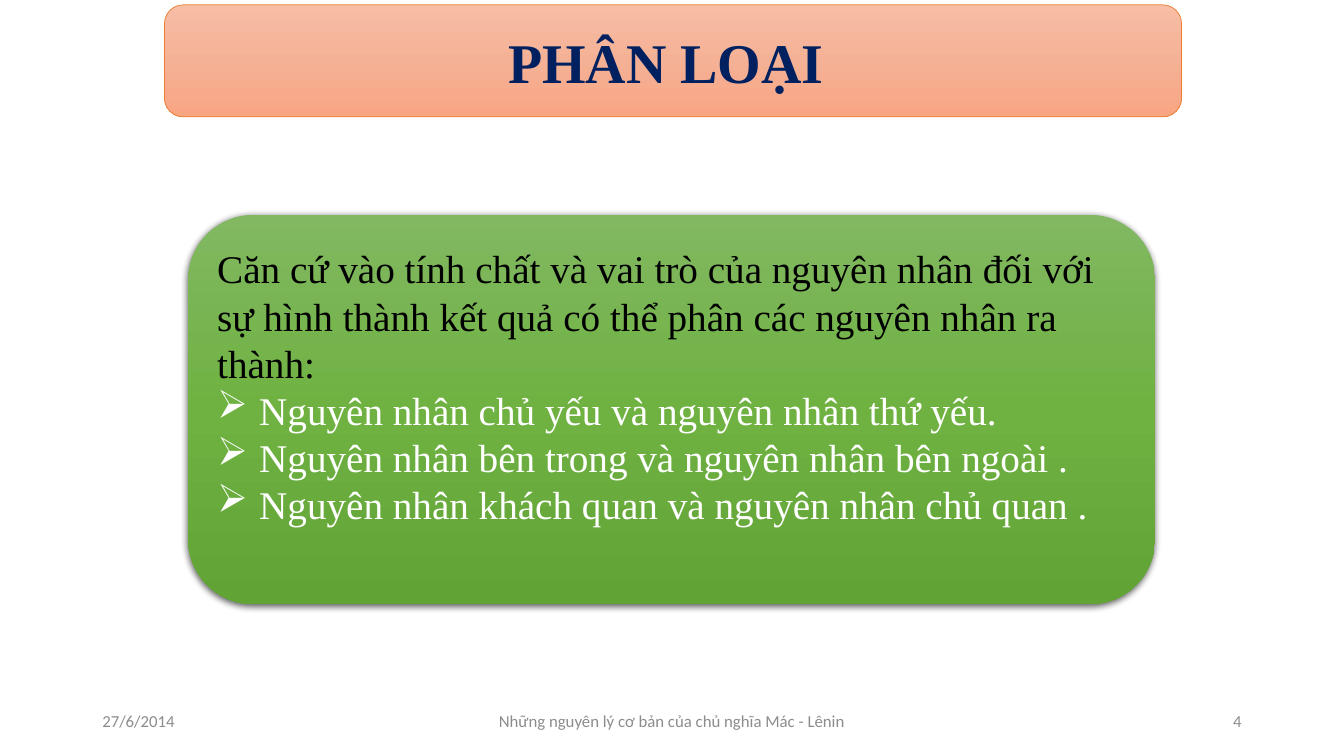
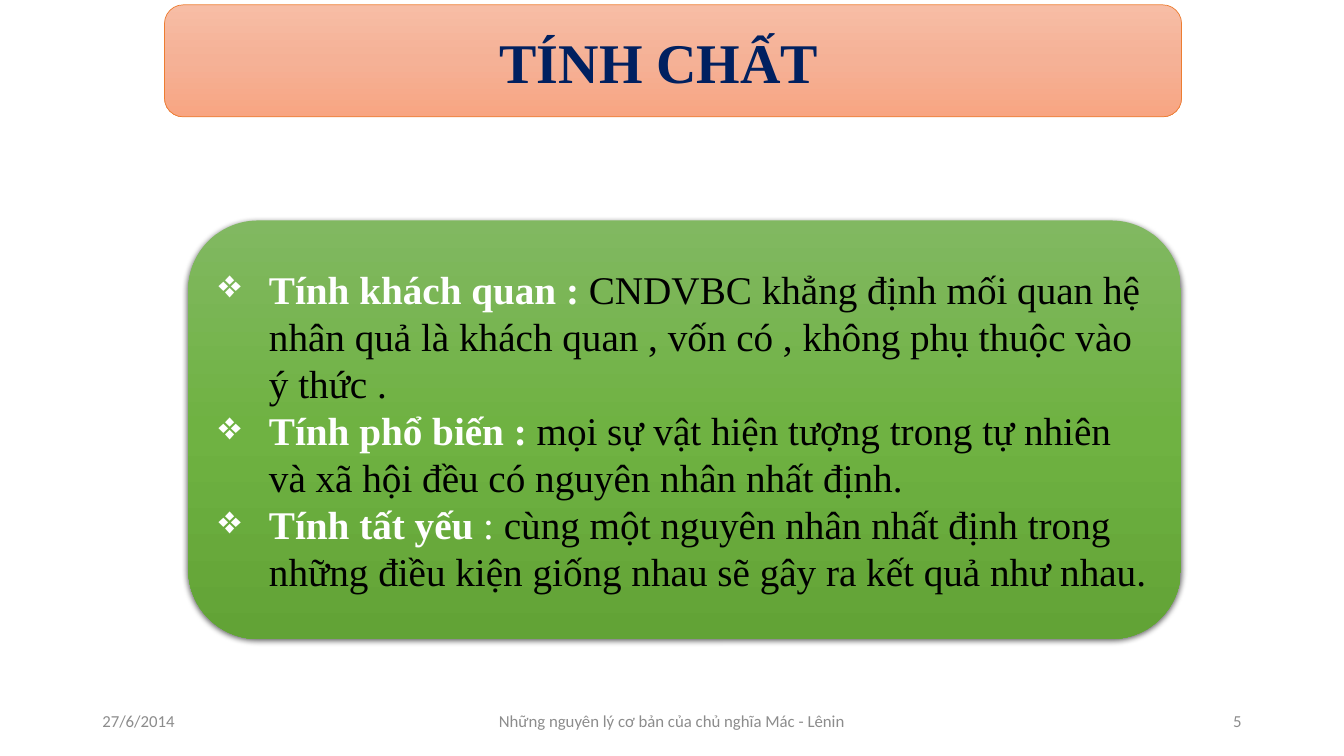
from pptx import Presentation
from pptx.dml.color import RGBColor as Rgb
from pptx.enum.shapes import MSO_SHAPE as Shape
from pptx.enum.text import MSO_ANCHOR as Anchor, PP_ALIGN as Align
from pptx.oxml.ns import qn
from pptx.util import Pt
from lxml.etree import SubElement as Sub

HUES = {"navy": "002060", "black": "000000", "white": "FFFFFF",
        "gray": "8C8C8C", "orange": "ED7D31"}
PEACH = ["F7BDA5", "F5B196", "F8A582"]
GREEN = ["81B861", "6FB242", "62A336"]

SERIF = "Times New Roman"
STYLES = {
    "title": {"name": SERIF, "size": Pt(40), "bold": True, "hue": "navy"},
    "body": {"name": SERIF, "size": Pt(28), "bold": False, "hue": "black"},
    "light": {"name": SERIF, "size": Pt(28), "bold": False, "hue": "white"},
    "term": {"name": SERIF, "size": Pt(28), "bold": True, "hue": "white"},
    "foot": {"name": "Calibri", "size": Pt(12), "bold": False, "hue": "gray"},
}

BAND = (117.5, 3.5, 726.5, 80)
FOOT_TOP, FOOT_HIGH = 500.5, 28.8
DATE = "27/6/2014"
COURSE = "Những nguyên lý cơ bản của chủ nghĩa Mác - Lênin"
INSET = 7.2

# Each paragraph is (bullet, hanging indent, runs); pads are extra insets.
SLIDES = [
    {"title": "PHÂN LOẠI", "title_pad": 10, "number": "4",
     "box": (134.5, 153.5, 690.5, 278), "box_pad": 33.5,
     "paras": [
         (None, 0, [("Căn cứ vào tính chất và vai trò của nguyên nhân đối với "
                     "sự hình thành kết quả có thể phân các nguyên nhân ra "
                     "thành:", "body")]),
         ("➢", 30, [("Nguyên nhân chủ yếu và nguyên nhân thứ yếu.", "light")]),
         ("➢", 30, [("Nguyên nhân bên trong và nguyên nhân bên ngoài .", "light")]),
         ("➢", 30, [("Nguyên nhân khách quan và nguyên nhân chủ quan .", "light")]),
     ]},
    {"title": "TÍNH CHẤT", "title_pad": 20, "number": "5",
     "box": (134.5, 157.5, 709, 299), "box_pad": 0,
     "paras": [
         ("❖", 36, [("Tính khách quan : ", "term"),
                    ("CNDVBC khẳng định mối quan hệ nhân quả là khách quan , "
                     "vốn có , không phụ thuộc vào ý thức .", "body")]),
         ("❖", 36, [("Tính phổ biến : ", "term"),
                    ("mọi sự vật hiện tượng trong tự nhiên và xã hội đều có "
                     "nguyên nhân nhất định.", "body")]),
         ("❖", 36, [("Tính tất yếu ", "term"), (": ", "light"),
                    ("cùng một nguyên nhân nhất định trong những điều kiện "
                     "giống nhau sẽ gây ra kết quả như nhau.", "body")]),
     ]},
]


def place(box):
    return [Pt(n) for n in box]


def write(frame, paras, align=Align.LEFT):
    frame.word_wrap = True
    frame.vertical_anchor = Anchor.MIDDLE
    for i, (mark, hang, runs) in enumerate(paras):
        para = frame.add_paragraph() if i else frame.paragraphs[0]
        para.alignment = align
        if mark:
            props = para._p.get_or_add_pPr()
            props.set("marL", str(Pt(hang)))
            props.set("indent", str(-Pt(hang)))
            Sub(props, qn("a:buChar"), char=mark)
        for text, style in runs:
            run = para.add_run()
            run.text = text
            for key, value in STYLES[style].items():
                if key == "hue":
                    run.font.color.rgb = Rgb.from_string(HUES[value])
                else:
                    setattr(run.font, key, value)


def add_panel(slide, box, shades):
    """Add a rounded panel with evenly spaced shades from top to bottom."""
    panel = slide.shapes.add_shape(Shape.ROUNDED_RECTANGLE, *place(box))
    panel.shadow.inherit = False
    panel.fill.gradient()
    panel.fill.gradient_angle = 270
    stops = panel._element.spPr.find(qn("a:gradFill")).find(qn("a:gsLst"))
    for old in list(stops):
        stops.remove(old)
    for i, shade in enumerate(shades):
        stop = Sub(stops, qn("a:gs"), pos=str(100000 * i // (len(shades) - 1)))
        Sub(stop, qn("a:srgbClr"), val=shade)
    return panel


def add_shadow(panel):
    effects = panel._element.spPr.find(qn("a:effectLst"))
    cast = Sub(effects, qn("a:outerShdw"), blurRad=str(Pt(4.5)),
               dist=str(Pt(1.5)), dir="5400000", rotWithShape="0")
    color = Sub(cast, qn("a:srgbClr"), val=HUES["black"])
    Sub(color, qn("a:alpha"), val="63000")


def add_title(slide, text, pad):
    band = add_panel(slide, BAND, PEACH)
    band.line.color.rgb = Rgb.from_string(HUES["orange"])
    band.line.width = Pt(0.5)
    band.text_frame.margin_right = Pt(INSET + pad)
    write(band.text_frame, [(None, 0, [(text, "title")])], Align.CENTER)


def add_footer(slide, number):
    parts = [(66, 216, DATE, Align.LEFT), (318, 324, COURSE, Align.CENTER),
             (678, 216, number, Align.RIGHT)]
    for left, wide, text, align in parts:
        box = slide.shapes.add_textbox(*place((left, FOOT_TOP, wide, FOOT_HIGH)))
        write(box.text_frame, [(None, 0, [(text, "foot")])], align)


def add_body(slide, box, paras, pad):
    panel = add_panel(slide, box, GREEN)
    panel.line.fill.background()
    add_shadow(panel)
    panel.text_frame.margin_bottom = Pt(INSET / 2 + pad)
    write(panel.text_frame, paras)


def main():
    deck = Presentation()
    deck.slide_width, deck.slide_height = Pt(960), Pt(540)
    for item in SLIDES:
        slide = deck.slides.add_slide(deck.slide_layouts[6])
        add_title(slide, item["title"], item["title_pad"])
        add_footer(slide, item["number"])
        add_body(slide, item["box"], item["paras"], item["box_pad"])
    deck.save("out.pptx")


if __name__ == "__main__":
    main()
